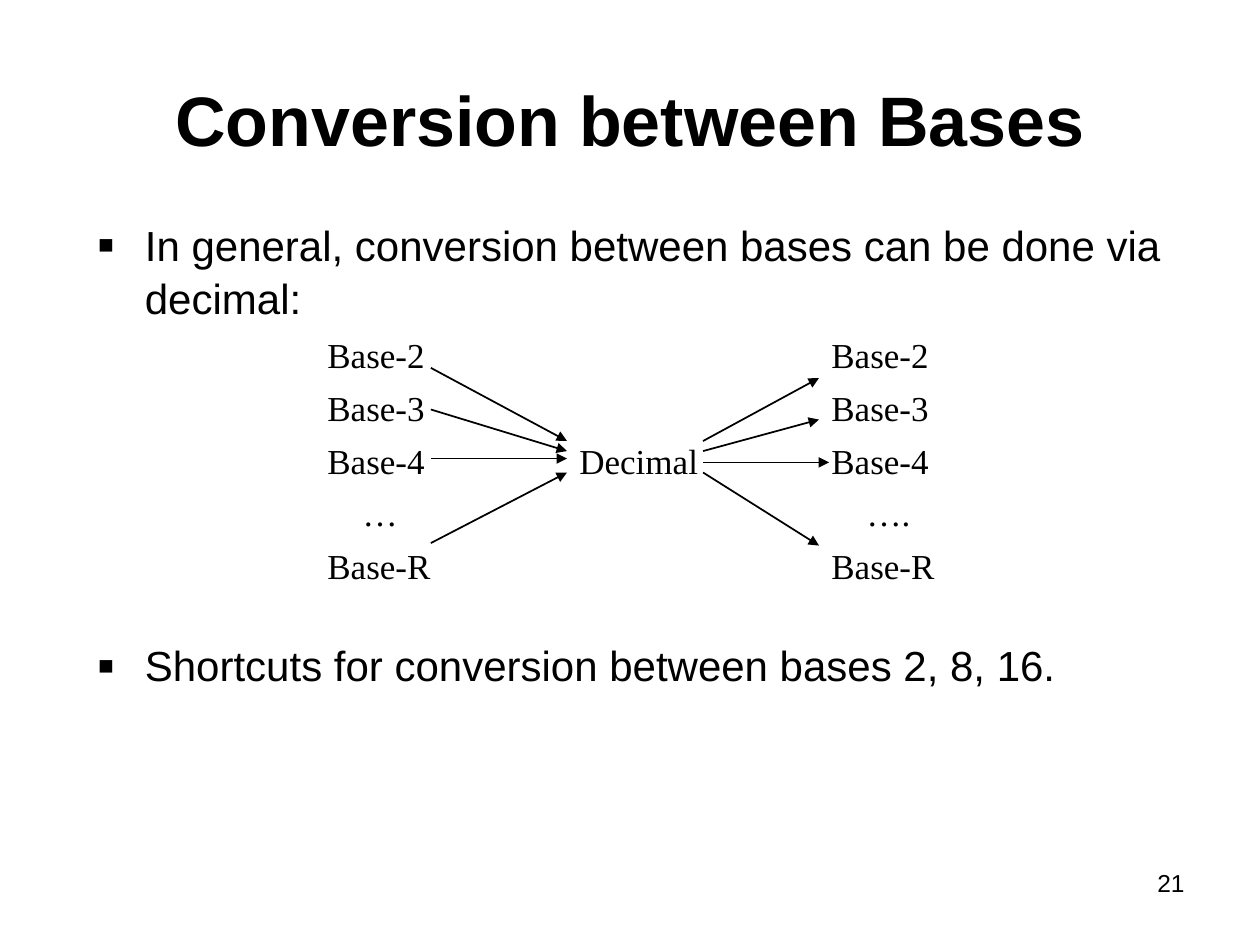
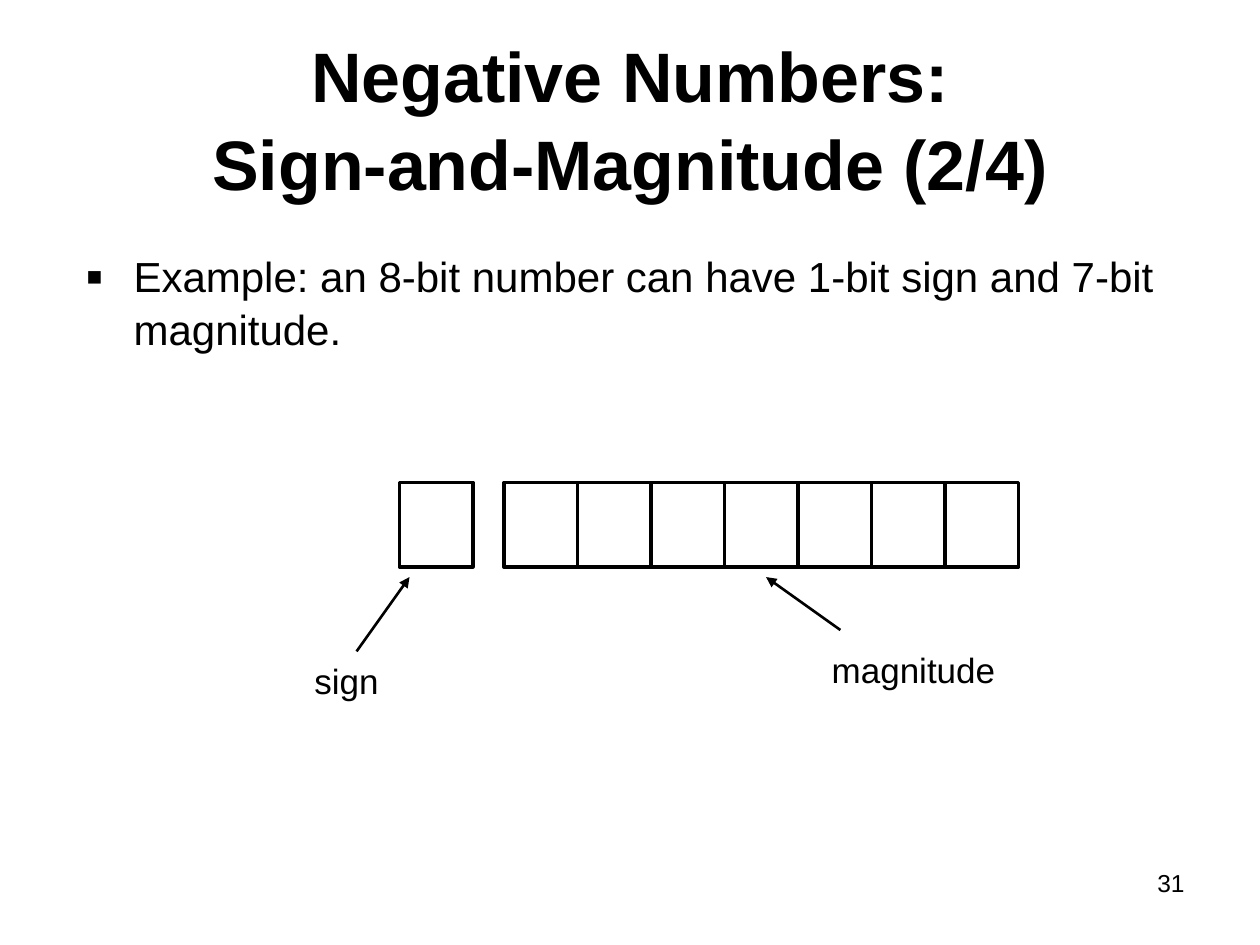
from lxml.etree import SubElement
from pptx import Presentation
from pptx.dml.color import RGBColor
from pptx.enum.shapes import MSO_CONNECTOR as Connector, MSO_SHAPE as Preset
from pptx.enum.text import MSO_ANCHOR as Anchor, MSO_AUTO_SIZE as AutoSize, PP_ALIGN as Align
from pptx.oxml.ns import qn
from pptx.util import Inches, Pt

BLACK = RGBColor(0x00, 0x00, 0x00)
LINE_SPACING = 1.05

# Shared text formats
TITLE_FONT = {"name": "Arial", "size": Pt(40), "bold": True}
BODY_FONT = {"name": "Arial", "size": Pt(24)}
LABEL_FONT = {"name": "Arial", "size": Pt(20)}
BASE_FONT = {"name": "Times New Roman", "size": Pt(20)}
NUMBER_FONT = {"name": "Arial", "size": Pt(14)}


def place(shape, left, top, width, height):
    box = {"left": left, "top": top, "width": width, "height": height}
    for name, value in box.items():
        setattr(shape, name, Inches(value))


def format_paragraph(paragraph, font, align=Align.LEFT, space_before=0):
    layout = {"alignment": align, "line_spacing": LINE_SPACING,
              "space_before": Pt(space_before)}
    for name, value in layout.items():
        setattr(paragraph, name, value)
    for run in paragraph.runs:
        for name, value in font.items():
            setattr(run.font, name, value)
        run.font.color.rgb = BLACK
    for line_break in paragraph._p.findall(qn("a:br")):
        SubElement(line_break, qn("a:rPr"), sz=str(int(font["size"].pt * 100)))


def add_bullet(paragraph):
    properties = paragraph._p.get_or_add_pPr()
    properties.set("marL", str(Inches(0.38)))
    properties.set("indent", str(-Inches(0.38)))
    color = SubElement(properties, qn("a:buClr"))
    SubElement(color, qn("a:srgbClr"), val=str(BLACK))
    SubElement(properties, qn("a:buSzPct"), val="120000")
    SubElement(properties, qn("a:buFont"), typeface="Arial")
    SubElement(properties, qn("a:buChar"), char="▪")


def add_tab_stops(paragraph, positions):
    tab_list = SubElement(paragraph._p.get_or_add_pPr(), qn("a:tabLst"))
    for position in positions:
        SubElement(tab_list, qn("a:tab"), pos=str(Inches(position)), algn="l")


def add_text(slide, text, box, font, align=Align.LEFT):
    shape = slide.shapes.add_textbox(*map(Inches, box))
    frame = shape.text_frame
    frame.word_wrap = True
    frame.text = text
    format_paragraph(frame.paragraphs[0], font, align)


def add_arrow(slide, start, end, width):
    arrow = slide.shapes.add_connector(Connector.STRAIGHT, *map(Inches, start + end))
    arrow.line.color.rgb = BLACK
    arrow.line.width = Pt(width)
    SubElement(arrow.line._get_or_add_ln(), qn("a:tailEnd"), type="triangle")
    SubElement(arrow._element.spPr, qn("a:effectLst"))


def add_bit_cell(slide, left):
    cell = slide.shapes.add_shape(
        Preset.RECTANGLE, *map(Inches, (left, 3.83, 7 / 12, 0.67)))
    cell.shadow.inherit = False
    cell.fill.background()
    cell.line.color.rgb = BLACK
    cell.line.width = Pt(2)


def add_content_slide(presentation, title, number, body_box, bullets, bullet_gap=0):
    slide = presentation.slides.add_slide(presentation.slide_layouts[1])

    # Title
    heading = slide.shapes.title
    place(heading, 0.5, 0.3, 9, 1.25)
    frame = heading.text_frame
    frame.text = title
    frame.auto_size = AutoSize.NONE
    frame.vertical_anchor = Anchor.MIDDLE
    format_paragraph(frame.paragraphs[0], TITLE_FONT, Align.CENTER)

    # Bulleted list
    body = slide.placeholders[1]
    place(body, *body_box)
    frame = body.text_frame
    frame.text = "\n".join(bullets)
    frame.auto_size = AutoSize.NONE
    for index, paragraph in enumerate(frame.paragraphs):
        add_bullet(paragraph)
        format_paragraph(paragraph, BODY_FONT,
                         space_before=bullet_gap if index else 0)

    # Slide number
    add_text(slide, number, (7.17, 6.83, 2.33, 0.52), NUMBER_FONT, Align.RIGHT)
    return slide


def add_base_columns(slide):
    column_stops, dot_stops = (2, 4), (0.28, 4.28)
    rows = [
        ("Base-2\t\tBase-2", column_stops),
        ("Base-3\t\tBase-3", column_stops),
        ("Base-4\tDecimal\tBase-4", column_stops),
        ("\t…\t….", dot_stops),
        ("Base-R\t\tBase-R", column_stops),
    ]
    shape = slide.shapes.add_textbox(*map(Inches, (2.5, 2.58, 5.3, 2.05)))
    frame = shape.text_frame
    frame.word_wrap = True
    frame.text = "\n".join(text for text, _ in rows)
    for index, (paragraph, (_, stops)) in enumerate(zip(frame.paragraphs, rows)):
        add_tab_stops(paragraph, stops)
        format_paragraph(paragraph, BASE_FONT, space_before=5 if index else 0)


def build_conversion_slide(presentation):
    slide = add_content_slide(
        presentation, "Conversion between Bases", "21", (0.67, 1.67, 8.75, 4.33),
        ["In general, conversion between bases can be done via decimal:",
         "Shortcuts for conversion between bases 2, 8, 16."], bullet_gap=180)
    add_base_columns(slide)

    # Arrows into decimal: height at the base, height at decimal
    for base_y, decimal_y in [(2.92, 3.5), (3.25, 3.58), (3.64, 3.64), (4.31, 3.75)]:
        add_arrow(slide, (3.42, base_y), (4.5, decimal_y), 1)

    # Arrows out of decimal: height at decimal, end at the base
    for decimal_y, base_end in [(3.5, (6.5, 3)), (3.58, (6.5, 3.33)),
                                (3.67, (6.58, 3.67)), (3.75, (6.5, 4.33))]:
        add_arrow(slide, (5.58, decimal_y), base_end, 1)


def build_sign_magnitude_slide(presentation):
    slide = add_content_slide(
        presentation, "Negative Numbers:\vSign-and-Magnitude (2/4)", "31",
        (0.58, 1.92, 8.7, 0.93),
        ["Example: an 8-bit number can have 1-bit sign and 7-bit magnitude."])

    # One sign bit, then seven magnitude bits side by side
    add_bit_cell(slide, 3.17)
    for bit in range(7):
        add_bit_cell(slide, 4 + bit * 7 / 12)

    # Labels with their arrows
    add_text(slide, "sign", (2.25, 5.17, 1, 0.44), LABEL_FONT, Align.CENTER)
    add_arrow(slide, (2.83, 5.17), (3.25, 4.58), 1.5)
    add_text(slide, "magnitude", (6.5, 5.08, 1.5, 0.44), LABEL_FONT, Align.CENTER)
    add_arrow(slide, (6.67, 5), (6.08, 4.58), 1.5)


def main():
    presentation = Presentation()
    presentation.slide_width = Inches(10)
    presentation.slide_height = Inches(7.5)
    build_conversion_slide(presentation)
    build_sign_magnitude_slide(presentation)
    presentation.save("out.pptx")


if __name__ == "__main__":
    main()
